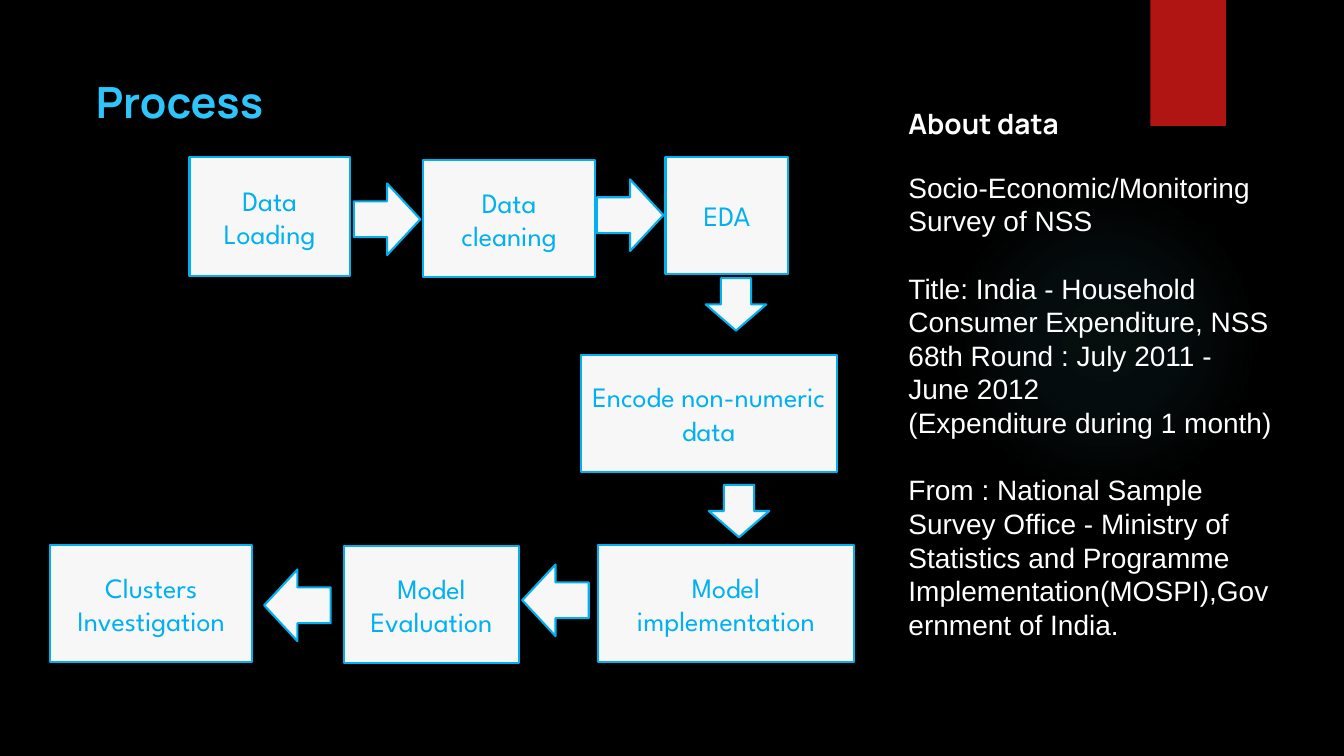
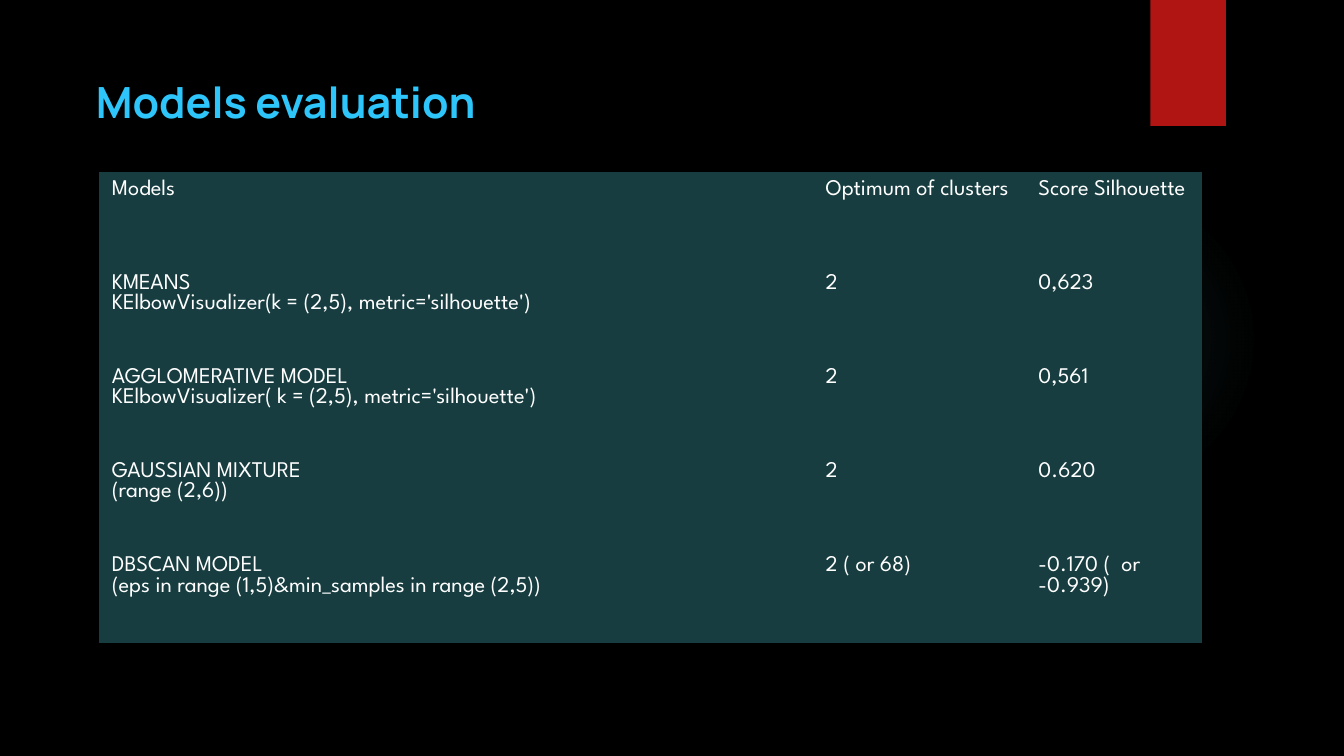
from lxml import etree
from pptx import Presentation
from pptx import util as u
from pptx.dml.color import RGBColor
from pptx.enum import shapes, text
from pptx.oxml import parse_xml
from pptx.oxml.ns import nsdecls, qn

COLORS = {
    "black": "000000", "glow": "50B9C1", "band": "B01513", "title": "2DC5FA",
    "white": "FFFFFF", "box": "F7F7F7", "line": "00B0F0", "cell": "173D40",
}
HEAD, BODY, FLOW = "Manrope", "Arial", "League Spartan"
NO_GRID = "{2D5ABB26-0587-4C30-8999-92F81FD0307C}"
TITLE_BOX = (0.82, 0.62, 7.11, 0.72)
LINE = u.Pt(24)

SHAPE = shapes.MSO_SHAPE
NODES = [
    ("Data Loading", 1.38, 0, 1.59, 1.18),
    ("Data cleaning", 3.7, 0.03, 1.7, 1.16),
    ("EDA", 6.1, 0, 1.22, 1.16),
    ("Encode non-numeric data", 5.26, 1.96, 2.54, 1.16),
    ("Model implementation", 5.43, 3.85, 2.54, 1.16),
    ("Model Evaluation", 2.91, 3.86, 1.74, 1.16),
    ("Clusters Investigation", 0, 3.85, 2, 1.16),
]
ARROW_SIZES = {
    SHAPE.RIGHT_ARROW: (0.66, 0.71),
    SHAPE.LEFT_ARROW: (0.66, 0.71),
    SHAPE.DOWN_ARROW: (0.6, 0.52),
}
ARROWS = [
    (SHAPE.RIGHT_ARROW, 3.01, 0.26),
    (SHAPE.RIGHT_ARROW, 5.42, 0.22),
    (SHAPE.DOWN_ARROW, 6.5, 1.2),
    (SHAPE.DOWN_ARROW, 6.53, 3.25),
    (SHAPE.LEFT_ARROW, 4.68, 4.04),
    (SHAPE.LEFT_ARROW, 2.12, 4.09),
]
ABOUT = [
    ("Socio-Economic/Monitoring Survey of NSS", 0),
    ("Title: India - Household Consumer Expenditure, NSS 68th Round : July 2011 - June 2012", 24),
    ("(Expenditure during 1 month)", 0),
    ("From : National Sample Survey Office - Ministry of Statistics and Programme "
     "Implementation(MOSPI),Government of India.", 24),
]
MODELS = [
    ("Models", "Optimum of clusters", "Score Silhouette"),
    ("KMEANS\nKElbowVisualizer(k = (2,5), metric='silhouette')", "2", "0,623"),
    ("AGGLOMERATIVE MODEL\nKElbowVisualizer( k = (2,5), metric='silhouette')", "2", "0,561"),
    ("GAUSSIAN MIXTURE\n(range (2,6))", "2", "0.620"),
    ("DBSCAN MODEL\n(eps in range (1,5)&min_samples in range (2,5))", "2 ( or 68)",
     "-0.170 (  or -0.939)"),
]


def rgb(name):
    """Return the named colour."""
    return RGBColor.from_string(COLORS[name])


def inches(box):
    """Turn a box of numbers into lengths."""
    return [u.Inches(v) for v in box]


def set_font(p, name, size, color, bold=False):
    """Set the font of a paragraph."""
    f = p.font
    f.name, f.size, f.bold = name, u.Pt(size), bold
    f.color.rgb = rgb(color)


def add_box(s, kind, box, fill, line=None):
    """Add a flat preset shape."""
    sp = s.shapes.add_shape(kind, *inches(box))
    sp.shadow.inherit = False
    sp.fill.solid()
    sp.fill.fore_color.rgb = rgb(fill)
    if line:
        sp.line.color.rgb = rgb(line)
        sp.line.width = u.Pt(1.5)
    else:
        sp.line.fill.background()
    return sp


def place(sp, box):
    """Move a placeholder and give it top-anchored text with even insets."""
    sp.left, sp.top, sp.width, sp.height = inches(box)
    tf = sp.text_frame
    tf.word_wrap = True
    tf.auto_size = text.MSO_AUTO_SIZE.NONE
    tf.vertical_anchor = text.MSO_ANCHOR.TOP
    tf.margin_left = tf.margin_right = tf.margin_top = tf.margin_bottom = u.Inches(0.13)
    return tf


def style_master(prs, s):
    """Put the background, glow and band on the slide master."""
    master = prs.slide_master
    master.background.fill.solid()
    master.background.fill.fore_color.rgb = rgb("black")
    glow = add_box(s, SHAPE.OVAL, (9.41, 1.83, 3.08, 3.08), "glow")
    stops = "".join(
        f'<a:gs pos="{pos}000"><a:srgbClr val="{COLORS["glow"]}">'
        f'<a:alpha val="{alpha}000"/></a:srgbClr></a:gs>'
        for pos, alpha in ((0, 7), (36, 6), (69, 0), (100, 0)))
    grad = parse_xml(
        f'<a:gradFill {nsdecls("a")} rotWithShape="1"><a:gsLst>{stops}</a:gsLst>'
        '<a:path path="circle"><a:fillToRect l="50000" t="50000" r="50000" b="50000"/>'
        '</a:path></a:gradFill>')
    pr = glow.element.spPr
    pr.replace(pr.find(qn("a:solidFill")), grad)
    band = add_box(s, SHAPE.RECTANGLE, (11.41, 0, 0.75, 1.25), "band")
    for i, sp in enumerate((glow, band)):
        master.shapes.element.insert(2 + i, sp.element)


def add_title(s, words):
    """Fill the title placeholder."""
    tf = place(s.shapes.title, TITLE_BOX)
    tf.text = words
    p = tf.paragraphs[0]
    p.alignment = text.PP_ALIGN.LEFT
    set_font(p, HEAD, 30.7, "title", True)


def add_about(s, box):
    """Fill the body placeholder with the notes on the data."""
    tf = place(s.placeholders[1], box)
    for i, (words, gap) in enumerate([("About data", 0)] + ABOUT):
        p = tf.paragraphs[0] if i == 0 else tf.add_paragraph()
        p.text = words
        pr = p._p.get_or_add_pPr()
        pr.set("marL", "0")
        pr.set("indent", "0")
        etree.SubElement(pr, qn("a:buNone"))
        p.line_spacing = LINE
        p.space_before = u.Pt(gap)
        p.space_after = u.Pt(0 if i else 21.3)
        set_font(p, BODY if i else HEAD, 20, "white", i == 0)


def add_flow(s, box):
    """Draw the process boxes and the arrows between them."""
    left, top = box[:2]
    for words, x, y, w, h in NODES:
        sp = add_box(s, SHAPE.RECTANGLE, (left + x, top + y, w, h), "box", "line")
        tf = sp.text_frame
        tf.word_wrap = True
        tf.vertical_anchor = text.MSO_ANCHOR.MIDDLE
        tf.text = words
        p = tf.paragraphs[0]
        p.alignment = text.PP_ALIGN.CENTER
        p.line_spacing = LINE
        set_font(p, FLOW, 20, "line")
    for kind, x, y in ARROWS:
        add_box(s, kind, (left + x, top + y, *ARROW_SIZES[kind]), "box", "line")


def add_models(s, box):
    """Add the table of model scores."""
    tbl = s.shapes.add_table(len(MODELS), 3, *inches(box)).table
    tbl.first_row = tbl.horz_banding = False
    tbl._tbl.tblPr.find(qn("a:tableStyleId")).text = NO_GRID
    for col, width in zip(tbl.columns, (7.08, 2.11, 1.75)):
        col.width = u.Inches(width)
    for row, values in zip(tbl.rows, MODELS):
        for cell, words in zip(row.cells, values):
            cell.text = words
            cell.fill.solid()
            cell.fill.fore_color.rgb = rgb("cell")
            cell.margin_left = cell.margin_right = u.Inches(0.13)
            cell.margin_top = cell.margin_bottom = u.Inches(0.07)
            for p in cell.text_frame.paragraphs:
                set_font(p, FLOW, 16, "white")


def process_slide(prs):
    """Build the slide with the process and the data notes."""
    s = prs.slides.add_slide(prs.slide_layouts[1])
    style_master(prs, s)
    add_title(s, "Process")
    add_about(s, (8.88, 0.93, 3.92, 5.61))
    add_flow(s, (0.5, 1.56, 7.97, 5.02))


def models_slide(prs):
    """Build the slide with the model scores."""
    s = prs.slides.add_slide(prs.slide_layouts[5])
    add_title(s, "Models evaluation")
    add_models(s, (0.98, 1.71, 10.94, 4.67))


def main():
    """Build and save the presentation."""
    prs = Presentation()
    prs.slide_width, prs.slide_height = u.Inches(13.33), u.Inches(7.5)
    process_slide(prs)
    models_slide(prs)
    prs.save("out.pptx")


if __name__ == "__main__":
    main()
